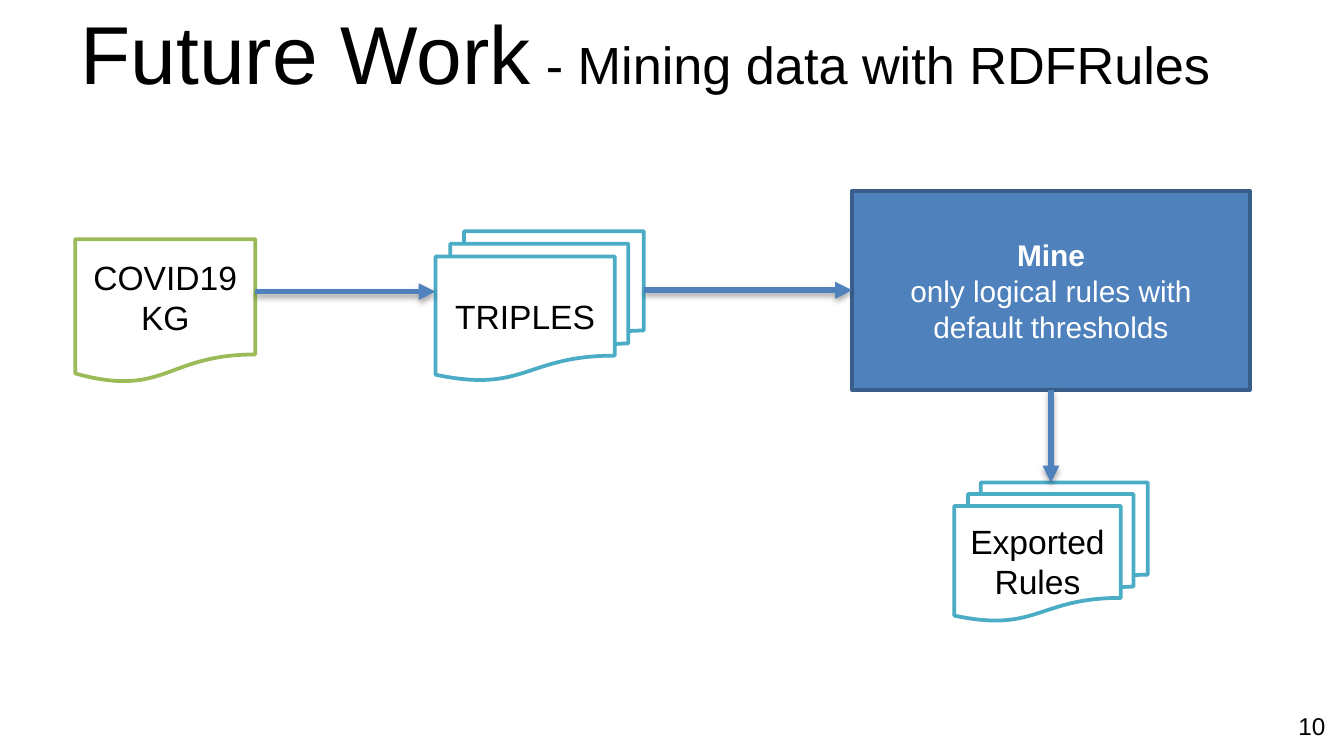
import lxml.etree
import pptx
import pptx.dml.color
import pptx.enum.shapes
import pptx.enum.text
import pptx.oxml
import pptx.oxml.ns
import pptx.util

Inches = pptx.util.Inches
Pt = pptx.util.Pt
SHAPE = pptx.enum.shapes.MSO_SHAPE
ALIGN = pptx.enum.text.PP_ALIGN
ANCHOR = pptx.enum.text.MSO_ANCHOR

BLACK, WHITE = "000000", "FFFFFF"
GREEN, TEAL, BLUE, NAVY = "9BBB59", "4BACC6", "4F81BD", "395E89"

SHADOW = (
    '<a:effectLst xmlns:a="http://schemas.openxmlformats.org/drawingml/2006/main">'
    '<a:outerShdw blurRad="39370" dist="22860" dir="5400000" rotWithShape="0">'
    '<a:srgbClr val="000000"><a:alpha val="35000"/></a:srgbClr>'
    '</a:outerShdw></a:effectLst>'
)


def rgb(color):
    return pptx.dml.color.RGBColor.from_string(color)


def add_run(paragraph, text, size, color=BLACK, bold=False):
    run = paragraph.add_run()
    run.text = text
    run.font.name = "Arial"
    run.font.size = Pt(size)
    run.font.bold = bold
    run.font.color.rgb = rgb(color)


def set_frame(frame, anchor, vertical_inset):
    frame.word_wrap = True
    frame.auto_size = pptx.enum.text.MSO_AUTO_SIZE.NONE
    frame.vertical_anchor = anchor
    frame.margin_left = frame.margin_right = Inches(0.1)
    frame.margin_top = frame.margin_bottom = Inches(vertical_inset)


def place_title(slide, left, top, width, height):
    title = slide.shapes.title
    title.left, title.top = Inches(left), Inches(top)
    title.width, title.height = Inches(width), Inches(height)
    set_frame(title.text_frame, ANCHOR.BOTTOM, 0.1)
    heading = title.text_frame.paragraphs[0]
    heading.alignment = ALIGN.LEFT
    add_run(heading, "Future Work", 44)
    add_run(heading, " - Mining data with RDFRules", 28)


def add_step(slide, kind, box, fill, outline):
    step = slide.shapes.add_shape(kind, *(Inches(length) for length in box))
    step.shadow.inherit = False
    step.fill.solid()
    step.fill.fore_color.rgb = rgb(fill)
    step.line.color.rgb = rgb(outline)
    step.line.width = Pt(2)
    set_frame(step.text_frame, ANCHOR.MIDDLE, 0.05)
    return step


def add_document(slide, kind, box, outline, lines):
    document = add_step(slide, kind, box, WHITE, outline)
    frame = document.text_frame
    for index, line in enumerate(lines):
        paragraph = frame.add_paragraph() if index else frame.paragraphs[0]
        paragraph.alignment = ALIGN.CENTER
        add_run(paragraph, line, 18)


def add_mine_step(slide, box):
    mine = add_step(slide, SHAPE.FLOWCHART_PROCESS, box, BLUE, NAVY)
    paragraph = mine.text_frame.paragraphs[0]
    paragraph.alignment = ALIGN.CENTER
    add_run(paragraph, "Mine", 16, WHITE, True)
    paragraph.add_line_break()
    add_run(paragraph, "only logical rules with default thresholds", 16, WHITE)
    return mine


def add_arrow(slide, start, end):
    arrow = slide.shapes.add_connector(
        pptx.enum.shapes.MSO_CONNECTOR.STRAIGHT,
        *(Inches(length) for length in start + end))
    arrow.line.color.rgb = rgb(BLUE)
    arrow.line.width = Pt(3)
    lxml.etree.SubElement(arrow.line._get_or_add_ln(),
                          pptx.oxml.ns.qn("a:tailEnd"), type="triangle")
    arrow._element.spPr.append(pptx.oxml.parse_xml(SHADOW))
    return arrow


def place_flow(slide, left, top):
    graph_box = (left, top + 0.36, 1.34, 1.07)
    triples_box = (left + 2.68, top + 0.3, 1.55, 1.11)
    mine_box = (left + 5.78, top, 2.96, 1.48)
    rules_box = (left + 6.54, top + 2.17, 1.44, 1.03)

    add_document(slide, SHAPE.FLOWCHART_DOCUMENT, graph_box, GREEN, ["COVID19 KG"])
    add_document(slide, SHAPE.FLOWCHART_MULTIDOCUMENT, triples_box, TEAL, ["TRIPLES"])
    mine = add_mine_step(slide, mine_box)
    add_document(slide, SHAPE.FLOWCHART_MULTIDOCUMENT, rules_box, TEAL,
                 ["Exported", "Rules"])

    mine_middle = top + mine_box[3] / 2
    mine_center = mine_box[0] + mine_box[2] / 2
    graph_arrow_y = top + 0.75
    to_mine = add_arrow(slide, (triples_box[0] + triples_box[2], mine_middle),
                        (mine_box[0], mine_middle))
    to_mine.end_connect(mine, 1)
    to_rules = add_arrow(slide, (mine_center, top + mine_box[3]),
                         (mine_center, rules_box[1]))
    to_rules.begin_connect(mine, 2)
    add_arrow(slide, (left + graph_box[2], graph_arrow_y),
              (triples_box[0], graph_arrow_y))


def place_page_number(slide, left, top, width, height):
    page = slide.shapes.add_textbox(Inches(left), Inches(top),
                                    Inches(width), Inches(height))
    set_frame(page.text_frame, ANCHOR.TOP, 0.1)
    paragraph = page.text_frame.paragraphs[0]
    paragraph.alignment = ALIGN.RIGHT
    add_run(paragraph, "10", 13)


def main():
    deck = pptx.Presentation()
    deck.slide_width = Inches(10)
    deck.slide_height = deck.slide_width * 9 // 16
    slide = deck.slides.add_slide(deck.slide_layouts[5])
    place_title(slide, 0.5, 0.38, 9, 0.47)
    place_flow(slide, 0.56, 1.42)
    place_page_number(slide, 9.36, 5.19, 0.6, 0.43)
    deck.save("out.pptx")


if __name__ == "__main__":
    main()
